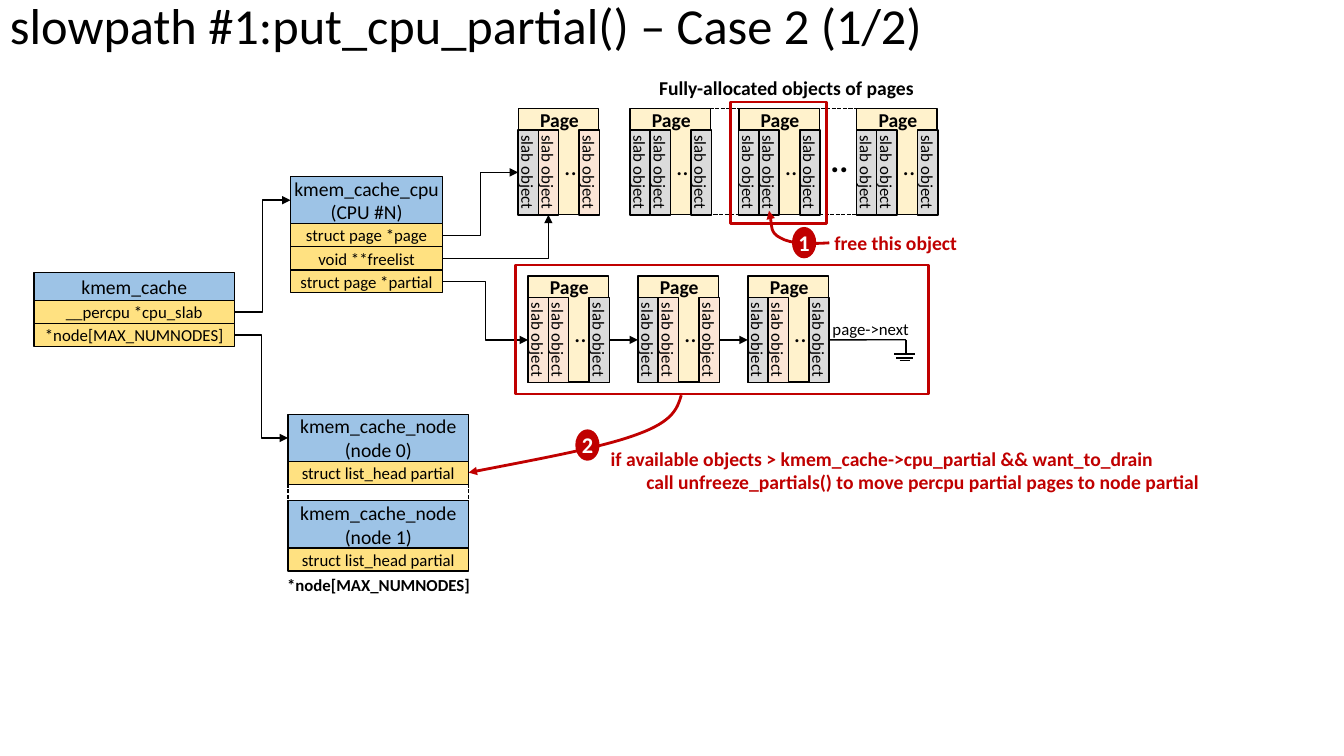
from copy import deepcopy

from lxml.etree import SubElement
from pptx import Presentation
from pptx.dml.color import RGBColor
from pptx.enum.dml import MSO_LINE
from pptx.enum.shapes import MSO_CONNECTOR as LINK, MSO_SHAPE as SHAPE
from pptx.enum.text import MSO_ANCHOR as ANCHOR, MSO_AUTO_SIZE as FIT, PP_ALIGN as ALIGN
from pptx.oxml.ns import qn
from pptx.util import Cm, Pt

BLACK = RGBColor(0x00, 0x00, 0x00)
WHITE = RGBColor(0xFF, 0xFF, 0xFF)
RED = RGBColor(0xC0, 0x00, 0x00)
HEADER_BLUE = RGBColor(0x9D, 0xC3, 0xE6)
FIELD_YELLOW = RGBColor(0xFF, 0xE1, 0x81)
PAGE_CREAM = RGBColor(0xFF, 0xF2, 0xCC)
FREE_PINK = RGBColor(0xFB, 0xE5, 0xD6)
USED_GRAY = RGBColor(0xDB, 0xDB, 0xDB)
FONT = "Calibri"
TOP, LEFT, BOTTOM, RIGHT = range(4)


def write(frame, text, size=12, color=BLACK, bold=False, align=ALIGN.LEFT,
          anchor=ANCHOR.TOP, margins=(0.25, 0.13), spacing=None, hanging=0):
    frame.word_wrap = True
    frame.vertical_anchor = anchor
    frame.margin_left = frame.margin_right = Cm(margins[0])
    frame.margin_top = frame.margin_bottom = Cm(margins[1])
    frame.text = text
    for index, paragraph in enumerate(frame.paragraphs):
        paragraph.alignment = align
        if spacing:
            paragraph.line_spacing = spacing
        if index and hanging:
            paragraph._p.get_or_add_pPr().set("marL", str(Cm(hanging)))
        for run in paragraph.runs:
            run.font.name, run.font.size = FONT, Pt(size)
            run.font.bold, run.font.color.rgb = bold, color
        for line_break in paragraph._p.findall(qn("a:br")):
            line_break.append(deepcopy(paragraph.runs[0]._r.rPr))


def side_point(shape, side):
    half_width, half_height = shape.width // 2, shape.height // 2
    center_x, center_y = shape.left + half_width, shape.top + half_height
    if shape.rotation == 90:
        half_width, half_height = half_height, half_width
    dx, dy = ((0, -1), (-1, 0), (0, 1), (1, 0))[side]
    return center_x + dx * half_width, center_y + dy * half_height


def site(shape, side):
    return (side + 1) % 4 if shape.rotation == 90 else side


def end_point(end):
    if isinstance(end[0], (int, float)):
        return Cm(end[0]), Cm(end[1])
    return side_point(*end)


class Diagram:
    def __init__(self, slide):
        self.slide = slide
        self.shapes = slide.shapes

    def title(self, text, left, top, width, height):
        heading = self.slide.shapes.title
        heading.left, heading.top, heading.width, heading.height = map(Cm, (left, top, width, height))
        write(heading.text_frame, text, size=36, anchor=ANCHOR.MIDDLE, spacing=0.9)
        heading.text_frame.auto_size = FIT.NONE

    def stroke(self, line, color, width, dashed=False, arrow=False):
        line.color.rgb, line.width = color, Pt(width)
        if dashed:
            line.dash_style = MSO_LINE.SQUARE_DOT
        if arrow:
            SubElement(line._get_or_add_ln(), qn("a:tailEnd"), type="triangle")

    def block(self, left, top, width, height, fill=None, text=None, kind=SHAPE.RECTANGLE,
              line=BLACK, line_width=1, rotation=0, **style):
        block = self.shapes.add_shape(kind, *map(Cm, (left, top, width, height)))
        block.shadow.inherit = False
        block.rotation = rotation
        if fill is None:
            block.fill.background()
        else:
            block.fill.solid()
            block.fill.fore_color.rgb = fill
        if line is None:
            block.line.fill.background()
        else:
            self.stroke(block.line, line, line_width)
        if text:
            write(block.text_frame, text, align=ALIGN.CENTER, anchor=ANCHOR.MIDDLE, **style)
        return block

    def label(self, text, left, top, width, height, **style):
        frame = self.shapes.add_textbox(*map(Cm, (left, top, width, height))).text_frame
        write(frame, text, **style)
        frame.auto_size = FIT.SHAPE_TO_FIT_TEXT

    def link(self, start, end, kind=LINK.STRAIGHT, corner=False, dashed=False, arrow=False):
        start_point, finish_point = end_point(start), end_point(end)
        link = self.shapes.add_connector(kind, *start_point, *finish_point)
        if not isinstance(start[0], (int, float)):
            link.begin_connect(start[0], site(*start))
            link.begin_x, link.begin_y = start_point
        if not isinstance(end[0], (int, float)):
            link.end_connect(end[0], site(*end))
            link.end_x, link.end_y = finish_point
        if corner:
            link._element.spPr.find(qn("a:prstGeom")).set("prst", "bentConnector2")
        self.stroke(link.line, BLACK, 1, dashed, arrow)
        SubElement(link._element.spPr, qn("a:effectLst"))

    def curve(self, start, *controls):
        builder = self.shapes.build_freeform(*map(Cm, start))
        builder.add_line_segments([(Cm(x), Cm(y)) for x, y in controls], close=False)
        curve = builder.convert_to_shape()
        curve.shadow.inherit = False
        curve.fill.background()
        self.stroke(curve.line, RED, 2, arrow=True)
        steps = list(curve._element.iter(qn("a:lnTo")))
        outline = steps[0].getparent()
        for first in range(0, len(steps), 3):
            bezier = SubElement(outline, qn("a:cubicBezTo"))
            for step in steps[first:first + 3]:
                bezier.append(step[0])
                outline.remove(step)

    def record(self, left, top, width, header_height, header, *fields):
        rows = [self.block(left, top, width, header_height, HEADER_BLUE, header, size=14, margins=(0.03, 0.13))]
        for index, field in enumerate(fields):
            rows.append(self.block(left, top + header_height + index * 0.58, width, 0.58, FIELD_YELLOW, field))
        return rows

    def page(self, left, top, *colors):
        self.shapes = self.slide.shapes.add_group_shape().shapes
        self.block(left, top, 2.03, 2.67, PAGE_CREAM)
        slabs = []
        for center, color in zip((0.25, 0.76, 1.79), colors):
            slabs.append(self.block(left + center - 1.07, top + 1.35, 2.14, 0.51, color, "slab object",
                                    rotation=90, margins=(0.13, 0)))
        self.label("..", left + 0.91, top + 0.91, 1.12, 1.02, size=18)
        self.label("Page", left + 0.3, top - 0.16, 1.55, 0.86, size=14, bold=True)
        self.shapes = self.slide.shapes
        return slabs

    def badge(self, number, left, top):
        self.block(left, top, 0.61, 0.79, RED, number, SHAPE.OVAL, line=None,
                   size=16, color=WHITE, bold=True, margins=(0, 0))


def main():
    deck = Presentation()
    deck.slide_width, deck.slide_height = Cm(33.87), Cm(19.05)
    d = Diagram(deck.slides.add_slide(deck.slide_layouts[5]))
    d.title("slowpath #1:put_cpu_partial() – Case 2 (1/2)", 0, -0.23, 34.06, 1.9)

    _, cpu_slab, node_array = d.record(0.86, 6.86, 5.05, 0.71, "kmem_cache",
                                       "__percpu *cpu_slab", "*node[MAX_NUMNODES]")
    cache_cpu, cpu_page, freelist, partial = d.record(
        7.32, 4.45, 3.84, 1.19, "kmem_cache_cpu\v(CPU #N)",
        "struct page *page", "void **freelist", "struct page *partial")
    cache_node, _ = d.record(7.26, 10.44, 4.55, 1.19, "kmem_cache_node\v(node 0)", "struct list_head partial")
    d.record(7.26, 12.62, 4.55, 1.19, "kmem_cache_node\v(node 1)", "struct list_head partial")
    d.label("*node[MAX_NUMNODES]", 6.81, 14.35, 5.46, 0.76, bold=True, align=ALIGN.CENTER)
    for edge in (7.26, 11.81):
        d.link((edge, 11.63), (edge, 12.7), dashed=True)

    d.link((17.7, 5.41), (21.92, 5.41), dashed=True)
    active = d.page(13.06, 2.74, USED_GRAY, FREE_PINK, FREE_PINK)
    for left in (15.88, 18.62, 21.59):
        d.page(left, 2.74, USED_GRAY, USED_GRAY, USED_GRAY)
    d.link((17.88, 2.74), (22.1, 2.74), dashed=True)
    d.label("..", 20.68, 3.38, 1.12, 1.27, size=24, bold=True)
    d.label("Fully-allocated objects of pages", 16.36, 1.78, 7.29, 0.86, size=14, bold=True)

    partial_colors = ((FREE_PINK, FREE_PINK, USED_GRAY),
                      (USED_GRAY, FREE_PINK, FREE_PINK),
                      (USED_GRAY, FREE_PINK, USED_GRAY))
    partial_pages = [d.page(13.31 + index * 2.77, 6.96, *colors)
                     for index, colors in enumerate(partial_colors)]
    for page, following in zip(partial_pages, partial_pages[1:]):
        d.link((page[2], RIGHT), (following[0], LEFT), arrow=True)

    for field, target in ((cpu_slab, cache_cpu), (node_array, cache_node),
                          (cpu_page, active[0]), (partial, partial_pages[0][0])):
        d.link((field, RIGHT), (target, LEFT), LINK.ELBOW, arrow=True)
    d.link((freelist, RIGHT), (active[1], BOTTOM), LINK.ELBOW, corner=True, arrow=True)

    d.label("page->next", 20.73, 7.9, 2.74, 0.76)
    d.link((partial_pages[2][2], RIGHT), (22.83, 8.56))
    d.link((22.83, 8.56), (22.83, 8.92))
    for half, height in ((0.27, 8.92), (0.22, 9.02), (0.13, 9.09)):
        d.link((22.8 - half, height), (22.8 + half, height))

    d.block(13, 6.68, 10.41, 3.25, line=RED, line_width=2)
    d.block(18.42, 2.57, 2.41, 3.07, line=RED, line_width=2)
    d.curve((20.9, 6.12), (20.42, 6.15), (19.91, 6.15), (19.66, 5.99),
            (19.41, 5.87), (19.43, 5.38), (19.38, 5.31))
    d.badge("1", 19.96, 5.72)
    d.label("free this object", 20.78, 5.69, 4.24, 0.86, size=14, color=RED, bold=True)
    d.curve((17.17, 9.96), (17.07, 10.29), (16.97, 10.62), (16.05, 10.95),
            (15.16, 11.28), (13.49, 11.58), (11.81, 11.91))
    d.badge("2", 14.5, 10.82)
    d.label("if available objects > kmem_cache->cpu_partial && want_to_drain\n"
            "call unfreeze_partials() to move percpu partial pages to node partial",
            15.14, 11.13, 15.44, 1.45, size=14, color=RED, bold=True, hanging=0.9)
    deck.save("out.pptx")


if __name__ == "__main__":
    main()
